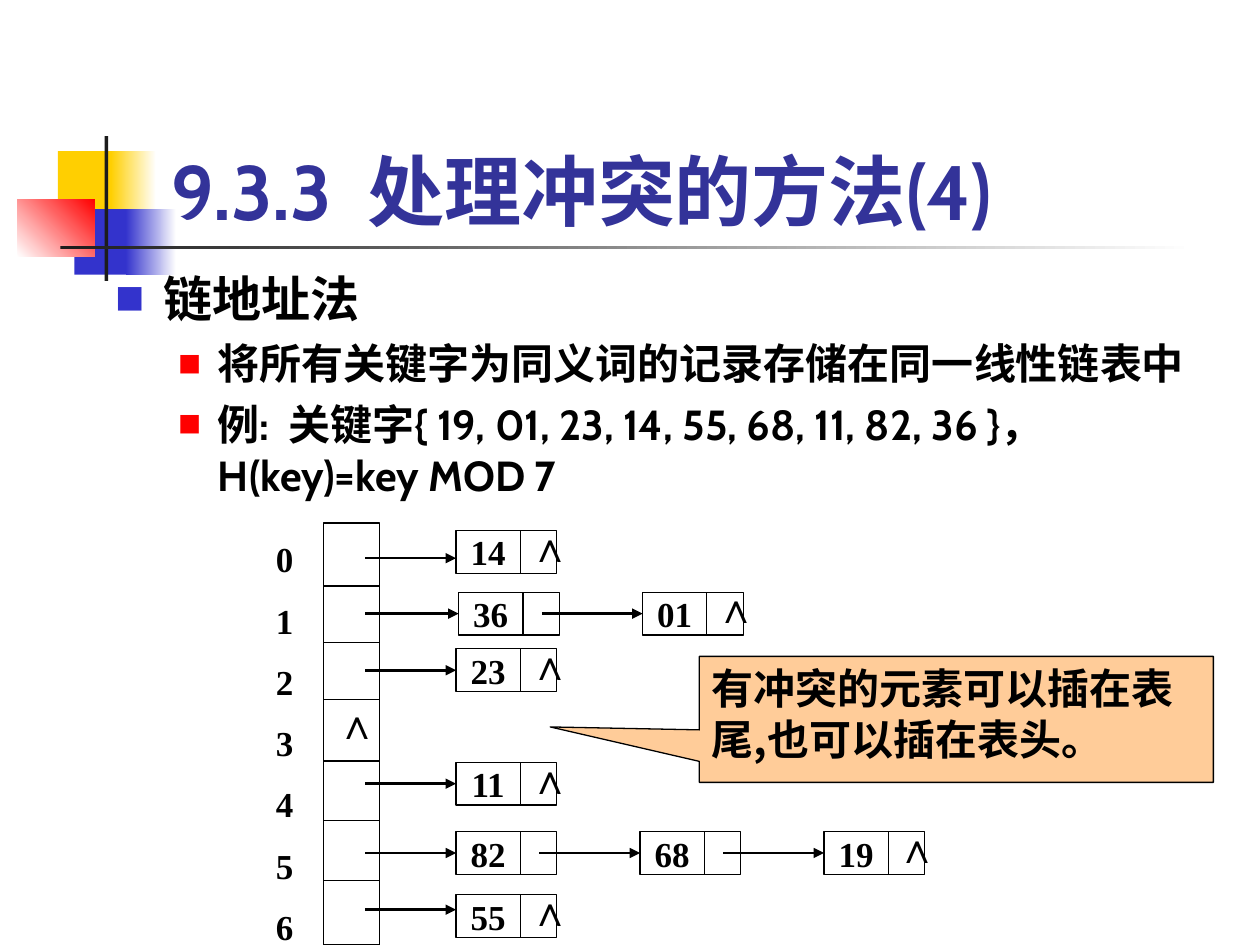
from dataclasses import dataclass
from lxml.etree import SubElement
from pptx import Presentation
from pptx.dml.color import RGBColor
from pptx.enum.shapes import MSO_CONNECTOR, MSO_SHAPE
from pptx.enum.text import MSO_ANCHOR, MSO_AUTO_SIZE, PP_ALIGN
from pptx.oxml.ns import qn
from pptx.util import Inches, Pt


@dataclass(frozen=True)
class Theme:
    yellow: str = "FFCF01"
    blue: str = "3333CC"
    red: str = "FF0000"
    white: str = "FFFFFF"
    bar: str = "1C1C1C"
    title: str = "333399"
    ink: str = "000000"
    callout: str = "FFCC99"
    heading_font: str = "Cabin"
    chinese_font: str = "Noto Sans CJK SC"
    key_font: str = "Times New Roman"
    nil_font: str = "Arial"
    title_size: int = 44
    topic_size: int = 28
    body_size: int = 24
    key_size: int = 20
    thin: float = 0.75
    thick: float = 1.5


@dataclass(frozen=True)
class Chain:
    top: float
    keys: tuple
    shift: float = 0
    pointer_drop: float = 0


THEME = Theme()
NIL = "∧"
TABLE_LEFT, TABLE_TOP, TABLE_WIDTH, TABLE_HEIGHT = 2.57, 4.15, 0.44, 3.35
BUCKET_EDGES = (4.65, 5.1, 5.55, 6.04, 6.51, 6.99)
NODE_LEFT, NODE_STEP, NODE_WIDTH, NODE_HEIGHT = 3.62, 1.46, 0.8, 0.34
KEY_WIDTH, POINTER_START = 0.51, 0.66
CHAINS = (
    Chain(4.21, ("14",), pointer_drop=0.05),
    Chain(4.7, ("36", "01"), shift=0.02),
    Chain(5.15, ("23",)),
    Chain(6.05, ("11",)),
    Chain(6.6, ("82", "68", "19")),
    Chain(7.1, ("55",), pointer_drop=-0.05),
)
DECORATION = (
    ((0.46, 1.2, 0.48, 0.52), (THEME.yellow,), 0),
    ((0.88, 1.2, 0.36, 0.52), (THEME.yellow, THEME.white), 0),
    ((0.59, 1.66, 0.46, 0.52), (THEME.blue,), 0),
    ((1, 1.66, 0.4, 0.52), (THEME.blue, THEME.white), 0),
    ((0.14, 1.58, 0.61, 0.46), (THEME.white, THEME.red), 45),
    ((0.83, 1.08, 0.03, 1.15), (THEME.bar,), 0),
    ((0.48, 1.95, 9, 0.03), (THEME.bar, THEME.white), 0),
)


def inches(*lengths):
    return [Inches(length) for length in lengths]


def color(code):
    return RGBColor.from_string(code)


def format_runs(paragraph, size, latin, chinese, ink=THEME.ink):
    for run in paragraph.runs:
        run.font.size = Pt(size)
        run.font.bold = True
        run.font.name = latin
        run.font.color.rgb = color(ink)
        SubElement(run.font._element, qn("a:ea")).set("typeface", chinese)


def add_bullet(paragraph, ink, percent, margin, indent):
    properties = paragraph._p.get_or_add_pPr()
    properties.set("marL", str(Inches(margin)))
    properties.set("indent", str(Inches(indent)))
    bullet_color = SubElement(properties, qn("a:buClr"))
    SubElement(bullet_color, qn("a:srgbClr")).set("val", ink)
    SubElement(properties, qn("a:buSzPct")).set("val", str(percent * 1000))
    SubElement(properties, qn("a:buFont")).set("typeface", THEME.chinese_font)
    SubElement(properties, qn("a:buChar")).set("char", "■")


def place(placeholder, *box):
    placeholder.left, placeholder.top, placeholder.width, placeholder.height = inches(*box)
    placeholder.text_frame.auto_size = MSO_AUTO_SIZE.NONE
    return placeholder.text_frame


def add_box(slide, box, kind=MSO_SHAPE.RECTANGLE, outlined=True):
    shape = slide.shapes.add_shape(kind, *inches(*box))
    shape.shadow.inherit = False
    shape.fill.background()
    if outlined:
        shape.line.color.rgb = color(THEME.ink)
        shape.line.width = Pt(THEME.thin)
    else:
        shape.line.fill.background()
    return shape


def add_line(slide, start, end, width=THEME.thin, arrow=False):
    line = slide.shapes.add_connector(MSO_CONNECTOR.STRAIGHT, *inches(*start, *end))
    line.line.color.rgb = color(THEME.ink)
    line.line.width = Pt(width)
    if arrow:
        SubElement(line.line._get_or_add_ln(), qn("a:tailEnd")).set("type", "triangle")
    SubElement(line._element.spPr, qn("a:effectLst"))
    return line


def add_nil(slide, left, top):
    frame = slide.shapes.add_textbox(*inches(left, top, 0.31, 0.5)).text_frame
    frame.word_wrap = False
    frame.text = NIL
    format_runs(frame.paragraphs[0], THEME.body_size, THEME.nil_font, THEME.nil_font)


def add_decoration(slide):
    for box, shades, angle in DECORATION:
        block = add_box(slide, box, outlined=False)
        if len(shades) == 1:
            block.fill.solid()
            block.fill.fore_color.rgb = color(shades[0])
            continue
        block.fill.gradient()
        block.fill.gradient_angle = angle
        for stop, position, shade in zip(block.fill.gradient_stops, (0, 1), shades):
            stop.position = position
            stop.color.rgb = color(shade)


def add_headline(slide):
    title = slide.shapes.title
    frame = place(title, 1.26, 0.67, 8.52, 1.25)
    frame.text = "9.3.3  处理冲突的方法(4)"
    frame.vertical_anchor = MSO_ANCHOR.BOTTOM
    frame.paragraphs[0].alignment = PP_ALIGN.LEFT
    format_runs(frame.paragraphs[0], THEME.title_size, THEME.heading_font,
                THEME.chinese_font, THEME.title)
    slide.shapes.element.append(title.element)


def add_outline(slide):
    body = slide.placeholders[1]
    frame = place(body, 0.82, 2.08, 8.99, 2.02)
    topic = frame.paragraphs[0]
    topic.text = "链地址法"
    topic.space_before = Pt(0)
    add_bullet(topic, THEME.blue, 60, 0.38, -0.38)
    format_runs(topic, THEME.topic_size, THEME.heading_font, THEME.chinese_font)
    for sentence in (
        "将所有关键字为同义词的记录存储在同一线性链表中",
        "例:  关键字{ 19, 01, 23, 14, 55, 68, 11, 82, 36 }， H(key)=key MOD 7",
    ):
        point = frame.add_paragraph()
        point.text = sentence
        point.level = 1
        point.space_before = Pt(6)
        add_bullet(point, THEME.red, 55, 0.81, -0.31)
        format_runs(point, THEME.body_size, THEME.heading_font, THEME.chinese_font)
    slide.shapes.element.append(body.element)


def add_hash_table(slide):
    add_box(slide, (TABLE_LEFT, TABLE_TOP, TABLE_WIDTH, TABLE_HEIGHT))
    for edge in BUCKET_EDGES:
        add_line(slide, (TABLE_LEFT, edge), (TABLE_LEFT + TABLE_WIDTH, edge))
    frame = slide.shapes.add_textbox(*inches(2.09, 4.22, 0.48, 3.27)).text_frame
    frame.word_wrap = True
    frame.text = "\n".join(str(index) for index in range(len(BUCKET_EDGES) + 1))
    for position, label in enumerate(frame.paragraphs):
        label.space_before = Pt(11 if position else 0)
        format_runs(label, THEME.key_size, THEME.key_font, THEME.key_font)
    add_nil(slide, TABLE_LEFT, 5.49)


def add_node(slide, key, left, top):
    node = add_box(slide, (left, top, NODE_WIDTH, NODE_HEIGHT))
    frame = node.text_frame
    frame.text = key
    frame.vertical_anchor = MSO_ANCHOR.MIDDLE
    frame.margin_left = 0
    frame.margin_right = Inches(NODE_WIDTH - KEY_WIDTH)
    frame.paragraphs[0].alignment = PP_ALIGN.CENTER
    format_runs(frame.paragraphs[0], THEME.key_size, THEME.key_font, THEME.key_font)
    divider = left + KEY_WIDTH
    add_line(slide, (divider, top), (divider, top + NODE_HEIGHT))
    return node


def add_chain(slide, chain):
    pointer_y = chain.top + NODE_HEIGHT / 2 + chain.pointer_drop
    pointer_x = 2.9
    for position, key in enumerate(chain.keys):
        left = NODE_LEFT + chain.shift + position * NODE_STEP
        node = add_node(slide, key, left, chain.top)
        pointer = add_line(slide, (pointer_x, pointer_y), (left, pointer_y), THEME.thick, True)
        if not chain.pointer_drop:
            pointer.end_connect(node, 1)
        pointer_x = left + POINTER_START
    add_nil(slide, left + 0.48, chain.top - 0.13)


def add_callout(slide):
    callout = add_box(slide, (5.55, 5.21, 4.08, 1), MSO_SHAPE.RECTANGULAR_CALLOUT)
    callout.adjustments[0], callout.adjustments[1] = -0.79, 0.06
    callout.fill.solid()
    callout.fill.fore_color.rgb = color(THEME.callout)
    frame = callout.text_frame
    frame.word_wrap = True
    frame.vertical_anchor = MSO_ANCHOR.TOP
    frame.text = "有冲突的元素可以插在表尾,也可以插在表头。"
    frame.paragraphs[0].alignment = PP_ALIGN.LEFT
    format_runs(frame.paragraphs[0], THEME.body_size, THEME.chinese_font, THEME.chinese_font)


def main():
    deck = Presentation()
    deck.slide_width, deck.slide_height = inches(10, 7.5)
    slide = deck.slides.add_slide(deck.slide_layouts[1])
    add_decoration(slide)
    add_headline(slide)
    add_outline(slide)
    add_hash_table(slide)
    for chain in CHAINS:
        add_chain(slide, chain)
    add_callout(slide)
    deck.save("out.pptx")


if __name__ == "__main__":
    main()
